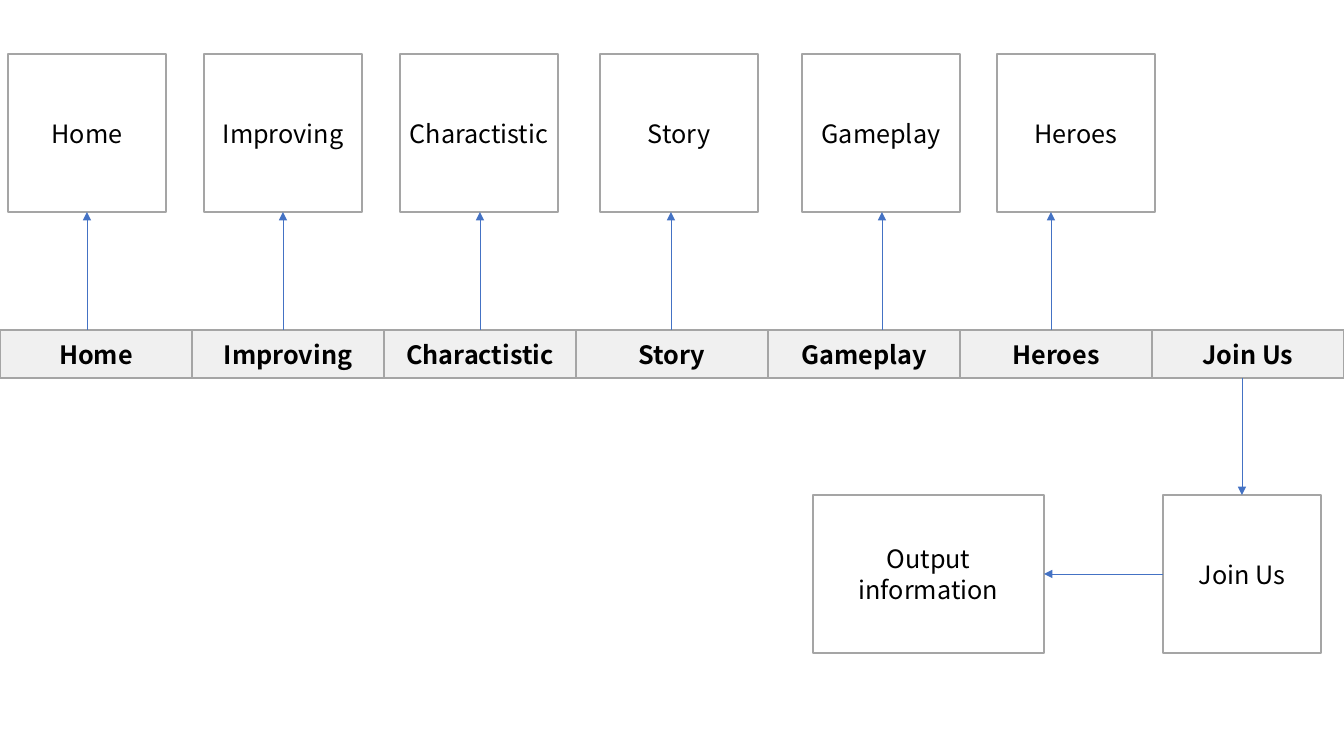
import pptx
import pptx.dml.color
import pptx.enum.shapes
import pptx.enum.text
import pptx.oxml
import pptx.oxml.ns
import pptx.util

PX = 12192000 / 1344
FONT = "Noto Sans CJK SC"
GREY, BLUE = "A5A5A5", "4472C4"
BLACK, WHITE, BAR_FILL = "000000", "FFFFFF", "F0F0F0"

PAGES = ["Home", "Improving", "Charactistic", "Story", "Gameplay", "Heroes", "Join Us"]
BOX_LEFTS = [8, 204, 400, 600, 802, 997]
ARROW_XS = [87, 283, 480, 671, 882, 1051]
BOX = 158
BOX_TOP = 54
BAR_TOP, BAR_HEIGHT = 330, 48
LOWER_TOP = 495


def px(n):
    """Turn pixels into EMU."""
    return pptx.util.Emu(round(n * PX))


def rgb(value):
    """Turn a hex string into a colour."""
    return pptx.dml.color.RGBColor.from_string(value)


def set_text(tf, text, bold=False):
    """Write centred text in the slide's font."""
    tf.text = text
    p = tf.paragraphs[0]
    p.alignment = pptx.enum.text.PP_ALIGN.CENTER
    font = p.runs[0].font
    font.name = FONT
    font.size = pptx.util.Pt(18)
    font.bold = bold
    font.color.rgb = rgb(BLACK)


def add_box(slide, text, left, top, width=BOX):
    """Add an outlined box with centred text."""
    sp = slide.shapes.add_shape(pptx.enum.shapes.MSO_SHAPE.RECTANGLE,
                                px(left), px(top), px(width), px(BOX))
    sp.shadow.inherit = False
    sp.fill.solid()
    sp.fill.fore_color.rgb = rgb(WHITE)
    sp.line.color.rgb = rgb(GREY)
    sp.line.width = pptx.util.Pt(1)
    tf = sp.text_frame
    tf.word_wrap = True
    tf.margin_left = tf.margin_right = px(5)
    tf.vertical_anchor = pptx.enum.text.MSO_ANCHOR.MIDDLE
    set_text(tf, text)


def add_arrow(slide, x1, y1, x2, y2):
    """Add a thin arrow that points at its second end."""
    line = slide.shapes.add_connector(pptx.enum.shapes.MSO_CONNECTOR.STRAIGHT,
                                      px(x1), px(y1), px(x2), px(y2))
    line.line.color.rgb = rgb(BLUE)
    line.line.width = pptx.util.Pt(0.5)
    ln = line.line._get_or_add_ln()
    ln.append(pptx.oxml.parse_xml(
        f'<a:tailEnd {pptx.oxml.ns.nsdecls("a")} type="triangle"/>'))
    line._element.spPr.append(pptx.oxml.parse_xml(
        f'<a:effectLst {pptx.oxml.ns.nsdecls("a")}/>'))


def set_borders(cell):
    """Draw a grey line on every side of a cell."""
    tcPr = cell._tc.get_or_add_tcPr()
    for i, side in enumerate(("lnL", "lnR", "lnT", "lnB")):
        tcPr.insert(i, pptx.oxml.parse_xml(
            f'<a:{side} {pptx.oxml.ns.nsdecls("a")} w="12700"><a:solidFill>'
            f'<a:srgbClr val="{GREY}"/></a:solidFill></a:{side}>'))


def add_menu_bar(slide, labels):
    """Add the one-row table of page names across the slide."""
    table = slide.shapes.add_table(1, len(labels), 0, px(BAR_TOP),
                                   px(1344), px(BAR_HEIGHT)).table
    for cell, label in zip(table.rows[0].cells, labels):
        cell.fill.solid()
        cell.fill.fore_color.rgb = rgb(BAR_FILL)
        cell.vertical_anchor = pptx.enum.text.MSO_ANCHOR.MIDDLE
        set_text(cell.text_frame, label, bold=True)
        set_borders(cell)


def main():
    """Build the site map slide."""
    prs = pptx.Presentation()
    prs.slide_width, prs.slide_height = px(1344), px(756)
    slide = prs.slides.add_slide(prs.slide_layouts[6])

    add_menu_bar(slide, PAGES)
    for page, left, x in zip(PAGES, BOX_LEFTS, ARROW_XS):
        add_box(slide, page, left, BOX_TOP)
        add_arrow(slide, x, BAR_TOP, x, BOX_TOP + BOX)

    join_left, output_left, output_width = 1163, 813, 231
    join_middle = LOWER_TOP + BOX / 2
    add_box(slide, "Output information", output_left, LOWER_TOP, output_width)
    add_box(slide, PAGES[-1], join_left, LOWER_TOP)
    add_arrow(slide, join_left + BOX / 2, BAR_TOP + BAR_HEIGHT,
              join_left + BOX / 2, LOWER_TOP)
    add_arrow(slide, join_left, join_middle, output_left + output_width, join_middle)

    prs.save("out.pptx")


main()
